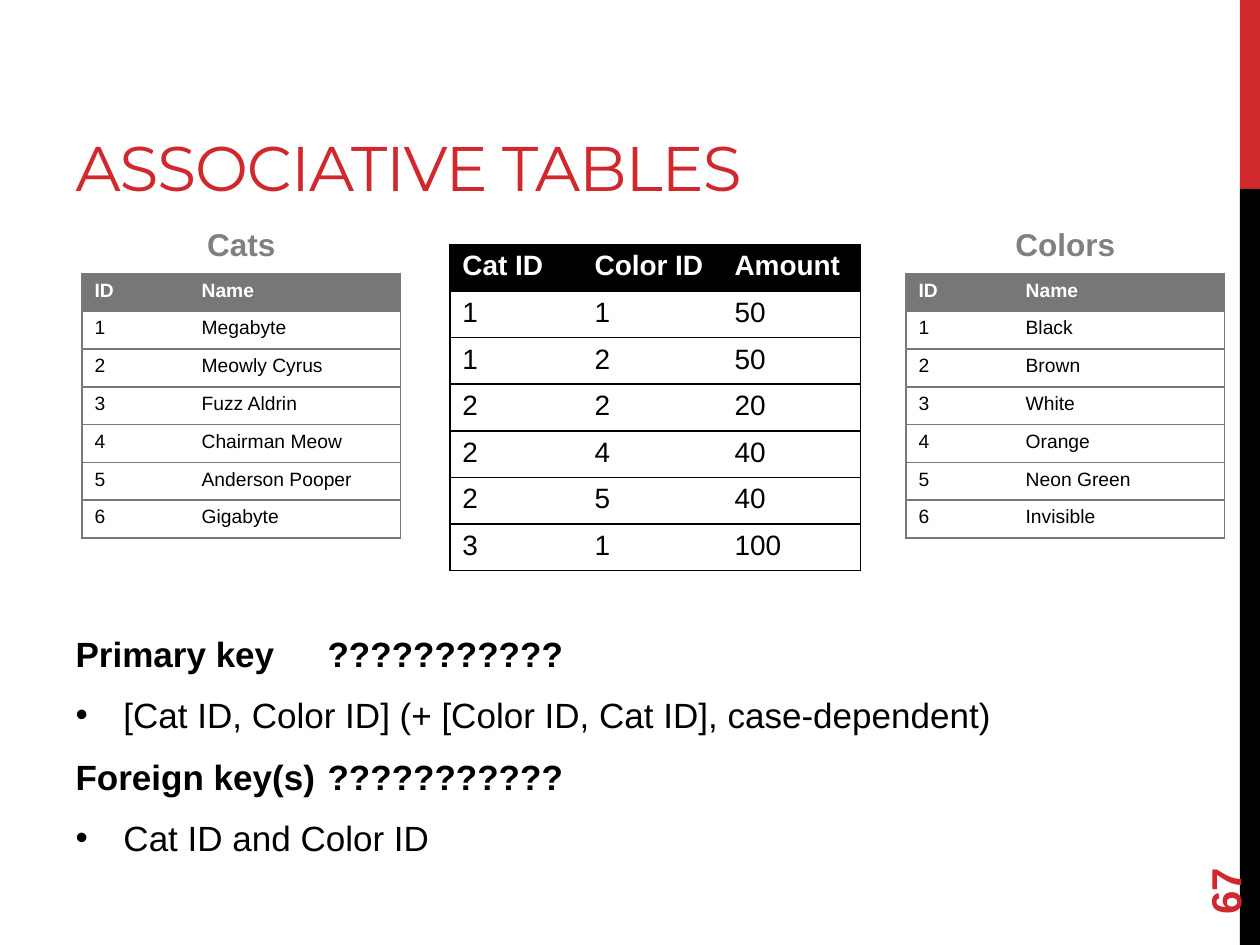
from lxml import etree
from pptx import Presentation
from pptx.dml.color import RGBColor
from pptx.enum import shapes, text
from pptx.oxml import ns
from pptx.util import Inches, Pt

RED = RGBColor(0xD1, 0x28, 0x2E)
BLACK = RGBColor(0, 0, 0)
WHITE = RGBColor(255, 255, 255)
GRAY = RGBColor(0x77, 0x77, 0x77)
LABEL = RGBColor(0x80, 0x80, 0x80)

# Content
TITLE = "ASSOCIATIVE TABLES"
NUMBER = "67"
# Each key: name, what is asked, tab stop, answer
KEYS = [
    ("Primary key", "???????????", 1.73,
     "[Cat ID, Color ID] (+ [Color ID, Cat ID], case-dependent)"),
    ("Foreign key(s)", "???????????", 2.13, "Cat ID and Color ID"),
]
LINKS = [("Cat ID", "Color ID", "Amount"),
         (1, 1, 50), (1, 2, 50), (2, 2, 20),
         (2, 4, 40), (2, 5, 40), (3, 1, 100)]
CATS = ["Megabyte", "Meowly Cyrus", "Fuzz Aldrin",
        "Chairman Meow", "Anderson Pooper", "Gigabyte"]
COLORS = ["Black", "Brown", "White", "Orange", "Neon Green", "Invisible"]
LISTS = [("Cats", 0.65, CATS), ("Colors", 7.19, COLORS)]

# Formats
BIG = {"cols": (1.05, 1.11, 1.1), "row": 0.37, "size": 16, "color": BLACK}
SMALL = {"cols": (0.85, 1.68), "row": 0.3, "size": 11, "color": GRAY}
BARS = [(0, 1.5, RED), (1.5, 6, BLACK)]


def style(font, size, color, bold=False, name="Arial"):
    look = {"size": Pt(size), "bold": bold, "name": name}
    for key, val in look.items():
        setattr(font, key, val)
    font.color.rgb = color


def place(shape, *box):
    for key, val in zip(("left", "top", "width", "height"), box):
        setattr(shape, key, Inches(val))


def add(parent, tag, **attrs):
    return etree.SubElement(parent, ns.qn(tag), attrs)


def border(cell, side, color):
    line = add(cell._tc.get_or_add_tcPr(), "a:ln" + side, w=str(Pt(1)))
    if color is None:
        add(line, "a:noFill")
    else:
        add(add(line, "a:solidFill"), "a:srgbClr", val=str(color))


def add_grid(slide, left, top, rows, cols, row, size, color):
    last = len(cols) - 1
    frame = slide.shapes.add_table(
        len(rows), len(cols), Inches(left), Inches(top),
        Inches(sum(cols)), Inches(row * len(rows)))
    grid = frame.table
    grid.horz_banding = False
    for col, wide in zip(grid.columns, cols):
        col.width = Inches(wide)
    for r, vals in enumerate(rows):
        grid.rows[r].height = Inches(row)
        for c, val in enumerate(vals):
            cell = grid.cell(r, c)
            # Outer frame and row rules only
            edges = {"L": c == 0, "R": c == last, "T": True, "B": True}
            for side, shown in edges.items():
                border(cell, side, color if shown else None)
            if r == 0:
                cell.fill.solid()
                cell.fill.fore_color.rgb = color
            else:
                cell.fill.background()
            cell.text = str(val)
            style(cell.text_frame.paragraphs[0].runs[0].font, size,
                  BLACK if r else WHITE, r == 0)


def add_label(slide, words, box, size, color, align):
    shape = slide.shapes.add_textbox(*map(Inches, box))
    frame = shape.text_frame
    frame.word_wrap = True
    para = frame.paragraphs[0]
    para.alignment = align
    run = para.add_run()
    run.text = words
    style(run.font, size, color, True)
    return shape


def add_line(frame, words, first, bold, stop=None):
    para = frame.paragraphs[0] if first else frame.add_paragraph()
    props = para._p.get_or_add_pPr()
    indent = 0 if bold else Inches(0.38)
    props.set("marL", str(indent))
    props.set("indent", str(-indent))
    para.space_before = Pt(0 if first else 5)
    para.space_after = Pt(6)
    if bold:
        add(props, "a:buNone")
        add(add(props, "a:tabLst"), "a:tab", pos=str(Inches(stop)), algn="l")
    else:
        add(props, "a:buFont", typeface="Arial")
        add(props, "a:buChar", char="•")
    run = para.add_run()
    run.text = words
    style(run.font, 20, BLACK, bold)


prs = Presentation()
prs.slide_width, prs.slide_height = Inches(10), Inches(7.5)
slide = prs.slides.add_slide(prs.slide_layouts[1])
title, body = slide.placeholders

# Side bars
for top, high, color in BARS:
    bar = slide.shapes.add_shape(
        shapes.MSO_SHAPE.RECTANGLE, Inches(9.84), Inches(top),
        Inches(0.16), Inches(high))
    bar.shadow.inherit = False
    bar.fill.solid()
    bar.fill.fore_color.rgb = color
    bar.line.fill.background()

# Title
place(title, 0.5, 0.17, 6.33, 1.5)
title.text = TITLE
frame = title.text_frame
frame.vertical_anchor = text.MSO_ANCHOR.BOTTOM
frame.auto_size = text.MSO_AUTO_SIZE.NONE
frame.paragraphs[0].alignment = text.PP_ALIGN.LEFT
font = frame.paragraphs[0].runs[0].font
style(font, 36, RED, name="Montserrat")
font._element.set("spc", "-60")

# Keys
place(body, 0.5, 4.93, 8.33, 2.16)
frame = body.text_frame
frame.auto_size = text.MSO_AUTO_SIZE.NONE
frame.margin_top = Inches(0.09)
for i, (name, query, stop, answer) in enumerate(KEYS):
    add_line(frame, name + "\t" + query, i == 0, True, stop)
    add_line(frame, answer, False, False)

# Slide number
number = add_label(slide, NUMBER, (9, 6.44, 1.44, 0.4), 24, RED,
                   text.PP_ALIGN.LEFT)
number.rotation = 270
number.text_frame.vertical_anchor = text.MSO_ANCHOR.MIDDLE

# Tables
add_grid(slide, 3.57, 1.94, LINKS, **BIG)
for name, left, items in LISTS:
    rows = [("ID", "Name"), *enumerate(items, 1)]
    add_grid(slide, left, 2.17, rows, **SMALL)
    add_label(slide, name, (left, 1.74, sum(SMALL["cols"]), 0.4), 18, LABEL,
              text.PP_ALIGN.CENTER)

prs.save("out.pptx")
